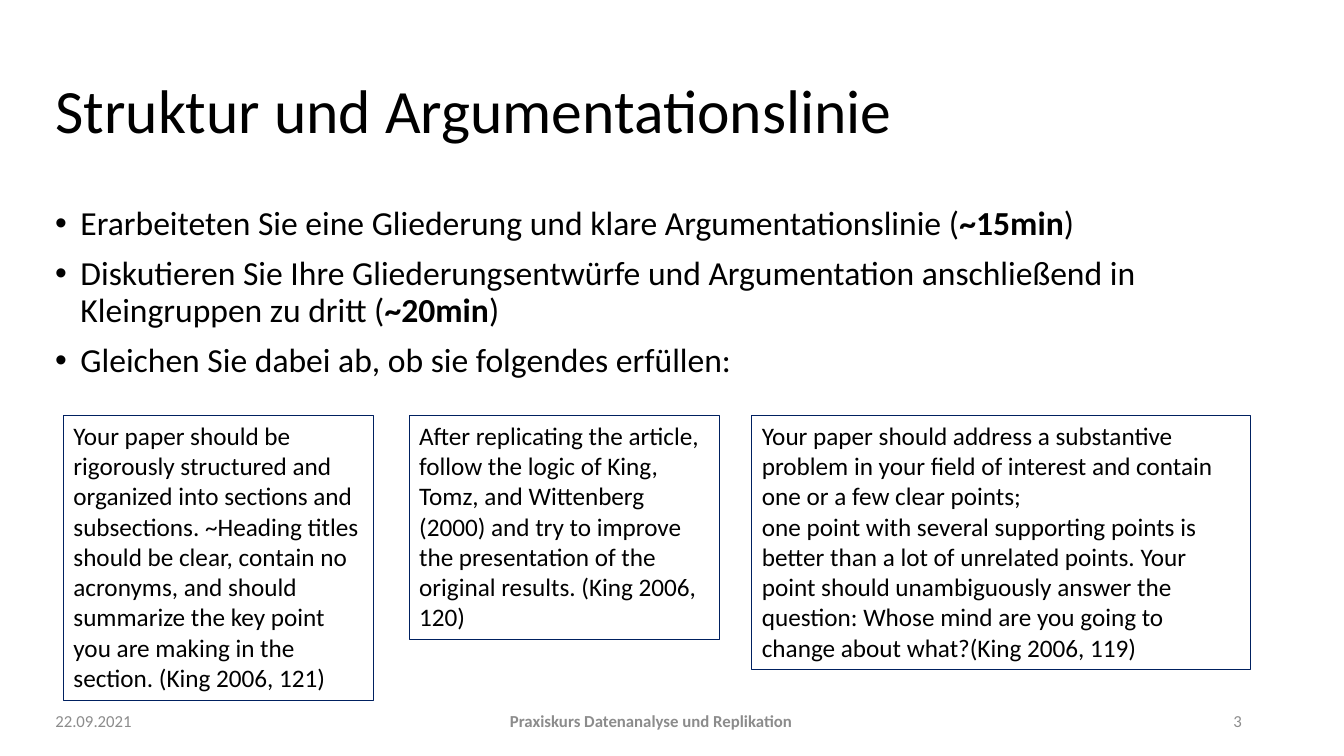
from pptx import Presentation
from pptx.dml.color import RGBColor
from pptx.enum.shapes import MSO_SHAPE
from pptx.enum.text import MSO_ANCHOR, MSO_AUTO_SIZE, PP_ALIGN
from pptx.oxml.xmlchemy import OxmlElement
from pptx.util import Pt

BLACK = RGBColor(0x00, 0x00, 0x00)
GRAY = RGBColor(0x8C, 0x8C, 0x8C)
NAVY = RGBColor(0x00, 0x20, 0x60)
LEFT = 32.4


def style(para, size, color, align=PP_ALIGN.LEFT, bold=None):
    para.alignment = align
    para.font.name = "Calibri"
    para.font.size = Pt(size)
    para.font.color.rgb = color
    para.font.bold = bold


prs = Presentation()
prs.slide_width, prs.slide_height = Pt(960), Pt(540)
slide = prs.slides.add_slide(prs.slide_layouts[5])
shapes = slide.shapes

title = shapes.title
title.left, title.top, title.width, title.height = Pt(LEFT), Pt(28.8), Pt(741.6), Pt(104.4)
title.text_frame.text = "Struktur und Argumentationslinie"
title.text_frame.auto_size = MSO_AUTO_SIZE.NONE
title.text_frame.vertical_anchor = MSO_ANCHOR.MIDDLE
head = title.text_frame.paragraphs[0]
style(head, 44, BLACK)
head.line_spacing = 0.9

tasks = [
    ("Erarbeiteten Sie eine Gliederung und klare Argumentationslinie (", "~15min", ")"),
    ("Diskutieren Sie Ihre Gliederungsentwürfe und Argumentation anschließend in "
     "Kleingruppen zu dritt (", "~20min", ")"),
    ("Gleichen Sie dabei ab, ob sie folgendes erfüllen:",),
]
frame = shapes.add_textbox(Pt(LEFT), Pt(144), Pt(861.12), Pt(161.28)).text_frame
frame.word_wrap = True
for i, task in enumerate(tasks):
    para = frame.add_paragraph() if i else frame.paragraphs[0]
    style(para, 24, BLACK)
    para.line_spacing = 0.9
    para.space_before = Pt(10)
    for j, text in enumerate(task):
        run = para.add_run()
        run.text = text
        if j == 1:
            run.font.bold = True
    props = para._p.get_or_add_pPr()
    props.set("marL", str(Pt(18)))
    props.set("indent", str(-Pt(18)))
    font = OxmlElement("a:buFont")
    font.set("typeface", "Arial")
    mark = OxmlElement("a:buChar")
    mark.set("char", "•")
    props.insert_element_before(font, "a:tabLst", "a:defRPr", "a:extLst")
    props.insert_element_before(mark, "a:tabLst", "a:defRPr", "a:extLst")

footer = [
    (LEFT, 107.28, "22.09.2021", PP_ALIGN.LEFT, None),
    (156.24, 617.76, "Praxiskurs Datenanalyse und Replikation", PP_ALIGN.CENTER, True),
    (786.24, 108, "3", PP_ALIGN.RIGHT, None),
]
for left, width, text, align, bold in footer:
    frame = shapes.add_textbox(Pt(left), Pt(500.4), Pt(width), Pt(28.8)).text_frame
    frame.word_wrap = True
    frame.vertical_anchor = MSO_ANCHOR.MIDDLE
    frame.text = text
    style(frame.paragraphs[0], 12, GRAY, align, bold)

quotes = [
    (45.36, 221.76, 203.76,
     "Your paper should be rigorously structured and organized into sections and "
     "subsections. ~Heading titles should be clear, contain no acronyms, and should "
     "summarize the key point you are making in the section. (King 2006, 121)"),
    (292.32, 221.76, 159.84,
     "After replicating the article, follow the logic of King, Tomz, and Wittenberg "
     "(2000) and try to improve the presentation of the original results. (King 2006, 120)"),
    (537.12, 356.4, 181.44,
     "Your paper should address a substantive problem in your field of interest and "
     "contain one or a few clear points;\n"
     "one point with several supporting points is better than a lot of unrelated points. "
     "Your point should unambiguously answer the question: Whose mind are you going to "
     "change about what?(King 2006, 119)"),
]
for left, width, height, text in quotes:
    box = shapes.add_shape(MSO_SHAPE.RECTANGLE, Pt(left), Pt(296.64), Pt(width), Pt(height))
    box.shadow.inherit = False
    box.fill.background()
    box.line.color.rgb = NAVY
    box.line.width = Pt(0.75)
    frame = box.text_frame
    frame.word_wrap = True
    frame.auto_size = MSO_AUTO_SIZE.SHAPE_TO_FIT_TEXT
    frame.vertical_anchor = MSO_ANCHOR.TOP
    frame.text = text
    for para in frame.paragraphs:
        style(para, 18, BLACK)

prs.save("out.pptx")
